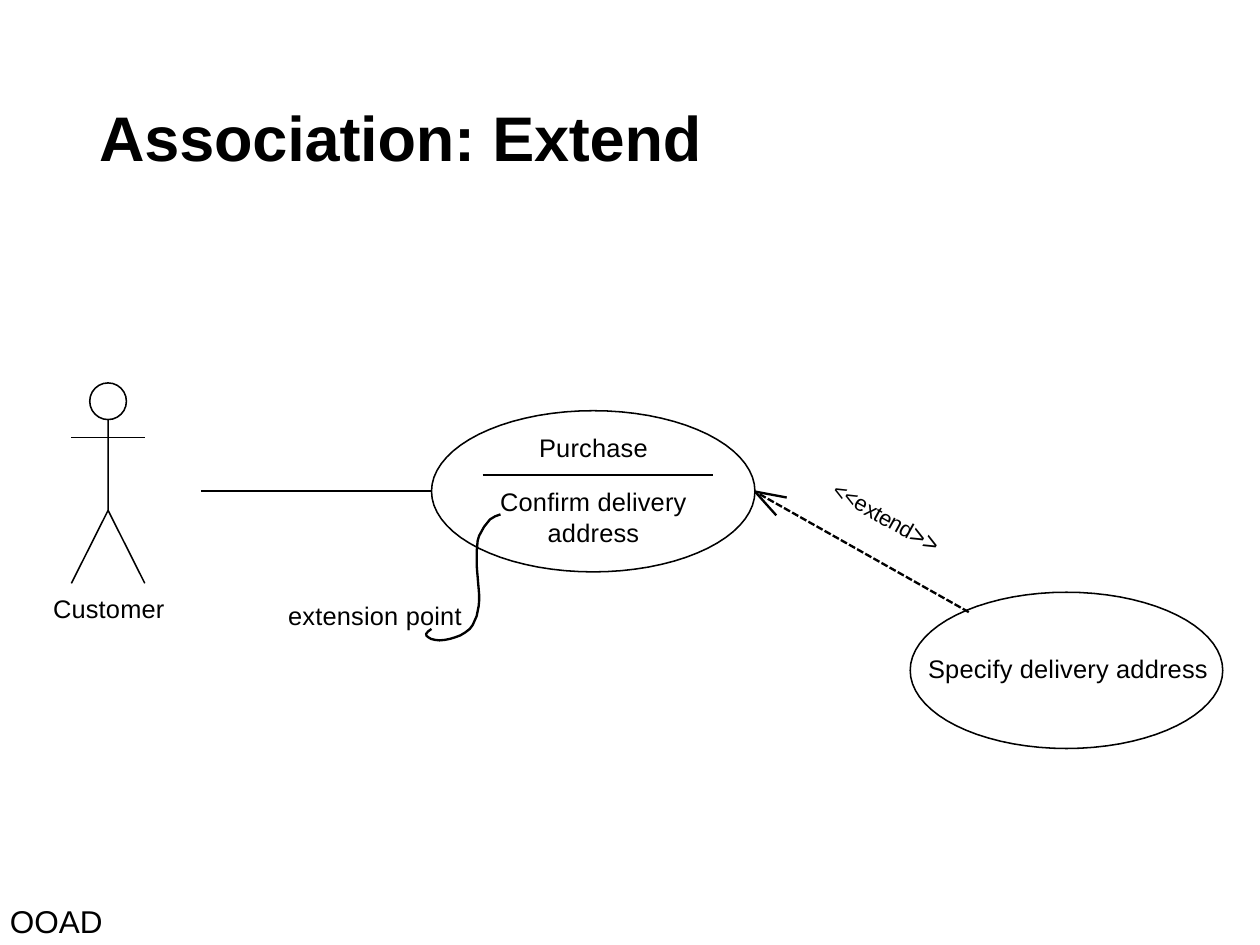
"""Build a use case slide that explains the extend association."""
from math import cos, radians, sin

from lxml.etree import SubElement
from pptx import Presentation
from pptx.dml.color import RGBColor
from pptx.enum.dml import MSO_LINE
from pptx.enum.shapes import MSO_CONNECTOR
from pptx.enum.text import MSO_ANCHOR, PP_ALIGN
from pptx.oxml.ns import qn
from pptx.util import Cm, Pt

COLOURS = {"ink": "000000", "paper": "FFFFFF"}
FONT = "Arial"
BODY = 14.5
THIN, THICK = 0.88, 1.32

USE_CASES = [(8.7, 8.28, 6.52, 3.25), (18.35, 11.94, 6.3, 3.15)]
ACTOR_HEAD = (1.81, 7.72, 0.74, 0.74)
ACTOR_X, ARM_SPAN = 2.18, 0.74
NECK_Y, ARM_Y, HIP_Y, FOOT_Y = 8.46, 8.82, 10.29, 11.76
ACTOR_LINES = [
    [(ACTOR_X - ARM_SPAN, ARM_Y), (ACTOR_X + ARM_SPAN, ARM_Y)],
    [(ACTOR_X, HIP_Y), (ACTOR_X + ARM_SPAN, FOOT_Y)],
    [(ACTOR_X, NECK_Y), (ACTOR_X, HIP_Y), (ACTOR_X - ARM_SPAN, FOOT_Y)],
]
DIVIDER = [(9.73, 9.58), (14.38, 9.58)]
ASSOCIATION = [(4.05, 9.9), (8.7, 9.9)]
EXTEND = (19.53, 12.34, 15.22, 9.91)
ARROWHEAD = [(15.86, 10.03), (15.22, 9.91), (15.65, 10.39)]
CALLOUT = [
    (10.09, 10.37), (9.98, 10.41), (9.88, 10.47), (9.76, 10.62), (9.66, 10.8),
    (9.63, 10.9), (9.62, 11.02), (9.61, 11.13), (9.61, 11.25), (9.61, 11.38),
    (9.62, 11.51), (9.63, 11.63), (9.64, 11.76), (9.65, 11.87), (9.66, 11.99),
    (9.66, 12.11), (9.65, 12.22), (9.61, 12.42), (9.53, 12.6), (9.47, 12.68),
    (9.38, 12.75), (9.28, 12.81), (9.17, 12.85), (9.07, 12.88), (8.97, 12.9),
    (8.86, 12.91), (8.77, 12.9), (8.69, 12.88), (8.64, 12.85), (8.6, 12.82),
    (8.59, 12.78), (8.63, 12.73), (8.7, 12.68),
]

LABELS = [
    {"at": (18.67, 13.13, 5.76, 0.69), "text": "Specify delivery address"},
    {"at": (1.03, 11.92, 2.41, 0.69), "text": "Customer"},
    {"at": (5.77, 12.05, 3.66, 0.69), "text": "extension point"},
]
EXTEND_RUNS = [("<<e", 21.8, -0.3, 4), ("xtend", 21.8, -0.3, 2), (">>", BODY, -0.2, 0)]


def colour(name):
    return RGBColor.from_string(COLOURS[name])


def ellipse(left, top, width, height, step=5):
    angles = [radians(degree) for degree in range(0, 361, step)]
    return [(left + width * (1 - cos(angle)) / 2, top + height * (1 - sin(angle)) / 2)
            for angle in angles]


def style_line(line, width):
    line.color.rgb = colour("ink")
    line.width = Pt(width)


def add_outline(page, strokes, width):
    places = [[(Cm(x), Cm(y)) for x, y in stroke] for stroke in strokes]
    builder = page.shapes.build_freeform(*places[0][0])
    for index, stroke in enumerate(places):
        if index:
            builder.move_to(*stroke[0])
        builder.add_line_segments(stroke[1:], close=stroke[0] == stroke[-1])
    outline = builder.convert_to_shape()
    outline.shadow.inherit = False
    outline.fill.background()
    style_line(outline.line, width)


def add_dependency(page, ends):
    line = page.shapes.add_connector(MSO_CONNECTOR.STRAIGHT, *map(Cm, ends))
    style_line(line.line, THICK)
    line.line.dash_style = MSO_LINE.SQUARE_DOT
    SubElement(line._element.spPr, qn("a:effectLst"))


def add_box(page, at, top=0, left=0):
    box = page.shapes.add_textbox(*map(Cm, at))
    frame = box.text_frame
    frame.word_wrap = True
    frame.vertical_anchor = MSO_ANCHOR.TOP
    frame.margin_right = frame.margin_bottom = 0
    frame.margin_left, frame.margin_top = Cm(left), Cm(top)
    return box


def add_span(paragraph, text, size=BODY, spacing=0.1, bold=False, raised=0):
    span = paragraph.add_run()
    span.text = text
    span.font.name = FONT
    span.font.size = Pt(size)
    span.font.bold = bold
    span.font.color.rgb = colour("ink")
    properties = span.font._element
    properties.set("spc", str(round(spacing * 100)))
    if raised:
        properties.set("baseline", str(raised * 1000))


def add_label(page, at, text, before=1.1, top=0.04, left=0.04, **style):
    paragraph = add_box(page, at, top, left).text_frame.paragraphs[0]
    paragraph.space_before = Pt(before)
    add_span(paragraph, text, **style)
    return paragraph


def main():
    deck = Presentation()
    deck.slide_width, deck.slide_height = Cm(25.4), Cm(19.05)
    page = deck.slides.add_slide(deck.slide_layouts[6])
    page.background.fill.solid()
    page.background.fill.fore_color.rgb = colour("paper")

    add_label(page, (1.96, 1.96, 12.27, 1.6), "Association: Extend",
              before=1, top=0.03, size=36, spacing=-0.1, bold=True)
    add_outline(page, [ellipse(*at) for at in USE_CASES], THIN)
    add_outline(page, [ellipse(*ACTOR_HEAD, step=15)] + ACTOR_LINES, THIN)
    for label in LABELS:
        add_label(page, **label)

    purchase = add_label(page, (10.06, 8.68, 3.81, 2.39), "Purchase", left=0)
    purchase.alignment = PP_ALIGN.CENTER
    extension = purchase._parent.add_paragraph()
    extension.alignment = PP_ALIGN.CENTER
    extension.space_before = Pt(13.1)
    extension.line_spacing = 1.01
    add_span(extension, "Confirm delivery address")

    add_outline(page, [DIVIDER, ASSOCIATION], THICK)
    add_dependency(page, EXTEND)
    for points in (ARROWHEAD, CALLOUT):
        add_outline(page, [points], THICK)

    stereotype = add_box(page, (16.61, 10.36, 2.82, 0.51))
    stereotype.rotation = 29
    paragraph = stereotype.text_frame.paragraphs[0]
    paragraph.line_spacing = Pt(14.6)
    for text, size, spacing, raised in EXTEND_RUNS:
        add_span(paragraph, text, size, spacing, raised=raised)

    footer = add_label(page, (0.16, 18.21, 1.96, 0.79), "OOAD",
                       before=0, top=0, size=18, spacing=0)
    footer.line_spacing = Pt(20.9)
    deck.save("out.pptx")


if __name__ == "__main__":
    main()
